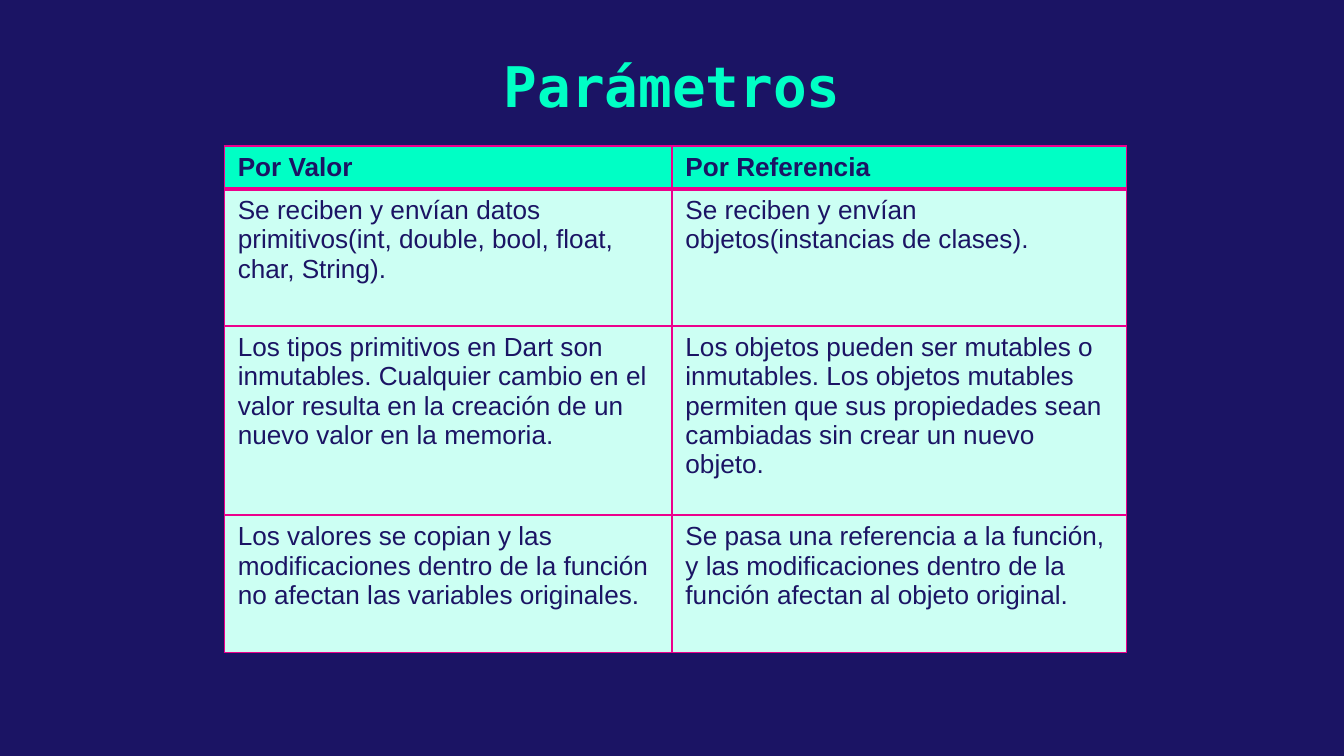
from lxml import etree
from pptx import Presentation
from pptx.dml.color import RGBColor
from pptx.enum.text import MSO_ANCHOR, PP_ALIGN
from pptx.oxml.ns import qn
from pptx.util import Cm, Pt

# Content
TITLE = "Parámetros"
ROWS = [
    ("Por Valor", "Por Referencia"),
    ("Se reciben y envían datos primitivos(int, double, bool, float, char, String).",
     "Se reciben y envían objetos(instancias de clases)."),
    ("Los tipos primitivos en Dart son inmutables. Cualquier cambio en el valor "
     "resulta en la creación de un nuevo valor en la memoria.",
     "Los objetos pueden ser mutables o inmutables. Los objetos mutables permiten "
     "que sus propiedades sean cambiadas sin crear un nuevo objeto."),
    ("Los valores se copian y las modificaciones dentro de la función no afectan "
     "las variables originales.",
     "Se pasa una referencia a la función, y las modificaciones dentro de la "
     "función afectan al objeto original."),
]

# Format
NAVY = RGBColor(0x1B, 0x14, 0x64)
MINT = RGBColor(0x00, 0xFF, 0xC5)
PALE_MINT = RGBColor(0xCC, 0xFF, 0xF3)
PINK = RGBColor(0xEC, 0x00, 0x8C)
CENTER, LEFT = PP_ALIGN.CENTER, PP_ALIGN.LEFT
MIDDLE, TOP = MSO_ANCHOR.MIDDLE, MSO_ANCHOR.TOP
COL_WIDTHS = [8.46, 8.59]
ROW_HEIGHTS = [0.79, 2.59, 3.58, 2.59]


def write(tf, text, size=14, font="Arial", color=NAVY, bold=False, align=LEFT):
    p = tf.paragraphs[0]
    p.alignment = align
    r = p.add_run()
    r.text = text
    r.font.size, r.font.name, r.font.bold = Pt(size), font, bold
    r.font.color.rgb = color


def set_borders(cell, bottom):
    """Draw the four cell borders; they must precede the fill in tcPr."""
    tc_pr = cell._tc.get_or_add_tcPr()
    for i, (side, width) in enumerate(
            [("L", 1), ("R", 1), ("T", 1), ("B", bottom)]):
        ln = etree.Element(qn(f"a:ln{side}"), w=str(Pt(width)))
        fill = etree.SubElement(ln, qn("a:solidFill"))
        etree.SubElement(fill, qn("a:srgbClr"), val=str(PINK))
        tc_pr.insert(i, ln)


prs = Presentation()
prs.slide_width, prs.slide_height = Cm(25.4), Cm(14.29)
slide = prs.slides.add_slide(prs.slide_layouts[5])
slide.background.fill.solid()
slide.background.fill.fore_color.rgb = NAVY

# Title
title = slide.shapes.title
title.left, title.top, title.width, title.height = Cm(3.56), Cm(0.69), Cm(18.29), Cm(1.85)
tf = title.text_frame
tf.margin_left = tf.margin_right = tf.margin_top = tf.margin_bottom = Cm(0.25)
tf.vertical_anchor = MIDDLE
write(tf, TITLE, size=30, font="DejaVu Sans Mono", color=MINT, bold=True, align=CENTER)

# Comparison table
table = slide.shapes.add_table(
    len(ROWS), len(COL_WIDTHS), Cm(4.24), Cm(2.76),
    Cm(sum(COL_WIDTHS)), Cm(sum(ROW_HEIGHTS))).table
for col, width in zip(table.columns, COL_WIDTHS):
    col.width = Cm(width)
for i, (texts, height) in enumerate(zip(ROWS, ROW_HEIGHTS)):
    header = i == 0
    table.rows[i].height = Cm(height)
    for j, text in enumerate(texts):
        cell = table.cell(i, j)
        cell.vertical_anchor = TOP
        cell.fill.solid()
        cell.fill.fore_color.rgb = MINT if header else PALE_MINT
        set_borders(cell, bottom=2 if header else 1)
        write(cell.text_frame, text, bold=header)

prs.save("out.pptx")
